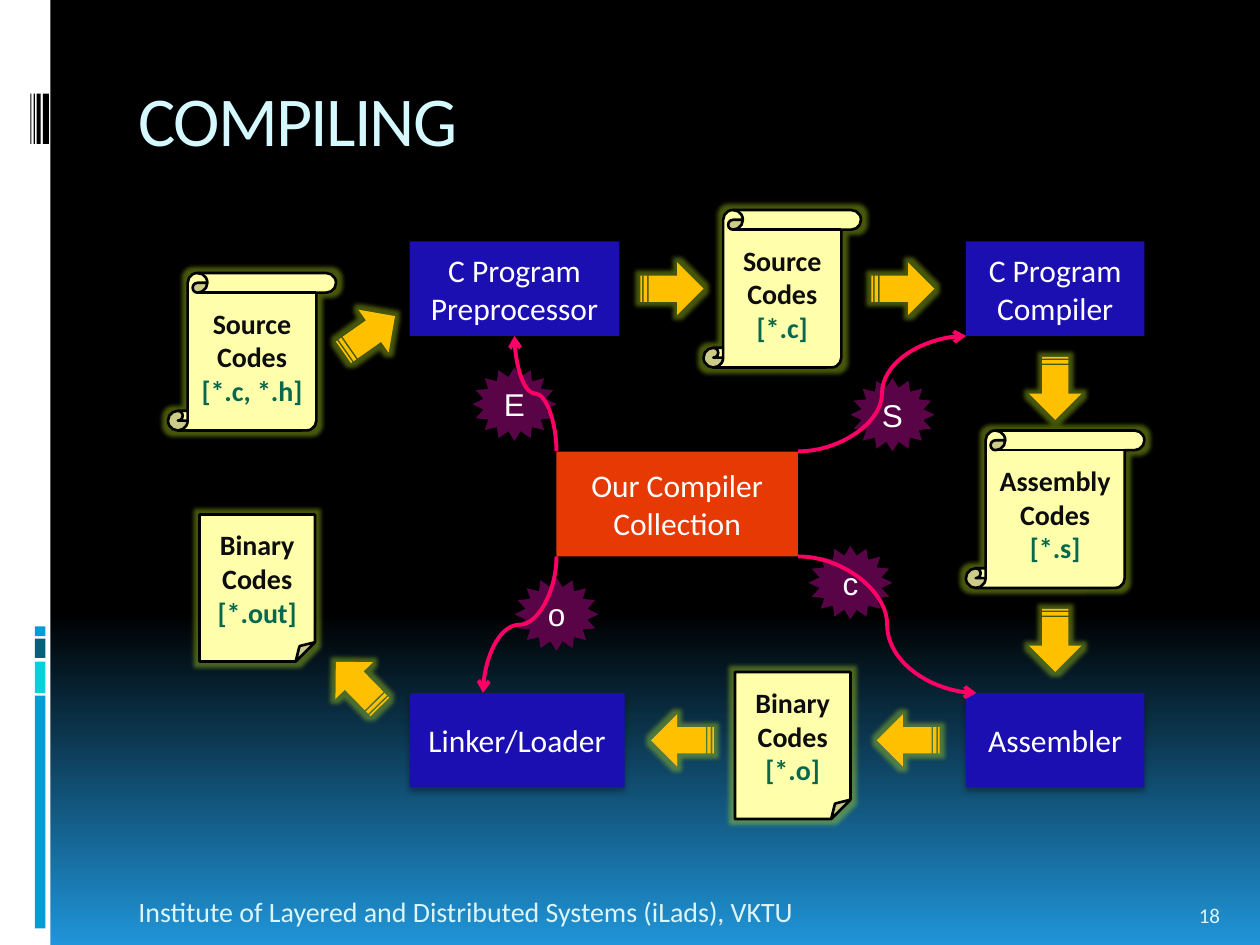
import pptx
import pptx.util
import pptx.dml.color
import pptx.enum.shapes
import pptx.enum.text
import pptx.oxml
import pptx.oxml.ns
from dataclasses import dataclass

Pt = pptx.util.Pt
Rgb = pptx.dml.color.RGBColor.from_string
Kind = pptx.enum.shapes.MSO_SHAPE
Align = pptx.enum.text.PP_ALIGN
Anchor = pptx.enum.text.MSO_ANCHOR
NS = pptx.oxml.ns.nsdecls("a")


@dataclass
class Theme:
    font: str = "Calibri"
    mark: str = "Arial"
    black: str = "000000"
    white: str = "FFFFFF"
    sky: str = "2095D9"
    blue: str = "009DD9"
    aqua: str = "0BD0D9"
    teal: str = "04617B"
    title: str = "D5F9FF"
    foot: str = "DBF5F9"
    tool: str = "1B0FB1"
    core: str = "E73903"
    paper: str = "FFFFAB"
    ink: str = "0D0D0D"
    code: str = "08684E"
    arrow: str = "FFC000"
    star: str = "580446"
    curve: str = "FF0066"
    glow: str = "B4DC1E"
    big: int = 40
    box: int = 18
    note: int = 16
    small: int = 12


look = Theme()
GLOW = (f'<a:effectLst {NS}><a:glow rad="63500"><a:srgbClr val="{look.glow}">'
        '<a:alpha val="40000"/></a:srgbClr></a:glow></a:effectLst>')
SHADE = (f'<a:effectLst {NS}><a:outerShdw blurRad="44450" dist="27940" dir="5400000">'
         f'<a:srgbClr val="{look.black}"><a:alpha val="32000"/></a:srgbClr>'
         '</a:outerShdw></a:effectLst>')


def write(shape, *runs, size=look.box, color=look.white, font=look.font,
          align=Align.CENTER, anchor=Anchor.MIDDLE, bold=False, inset=7.2):
    """Write runs into one paragraph; a run is text or (text, colour)."""
    frame = shape.text_frame
    frame.word_wrap = True
    frame.vertical_anchor = anchor
    frame.margin_left = frame.margin_right = Pt(inset)
    para = frame.paragraphs[0]
    para.alignment = align
    for item in runs:
        text, tint = item if isinstance(item, tuple) else (item, color)
        for row, line in enumerate(text.split("\n")):
            if row:
                para.add_line_break()
            if line:
                run = para.add_run()
                run.text = line
                run.font.size = Pt(size)
                run.font.name = font
                run.font.bold = bold
                run.font.color.rgb = Rgb(tint)
    return para


def draw(kind, x, y, w, h, fill, line=None, turn=0, effect=None):
    """Add a filled preset shape."""
    shape = slide.shapes.add_shape(kind, Pt(x), Pt(y), Pt(w), Pt(h))
    shape.rotation = turn
    shape.fill.solid()
    shape.fill.fore_color.rgb = Rgb(fill)
    if line:
        shape.line.color.rgb = Rgb(line)
        shape.line.width = Pt(1.5)
    else:
        shape.line.fill.background()
    if effect:
        shape._element.spPr.append(pptx.oxml.parse_xml(effect))
    else:
        shape.shadow.inherit = False
    return shape


deck = pptx.Presentation()
deck.slide_width, deck.slide_height = Pt(720), Pt(540)
slide = deck.slides.add_slide(deck.slide_layouts[5])

# Background: black, fading to blue at the foot
back = slide.background.fill
back.gradient()
back.gradient_angle = 270
for stop, place, tint in zip(back.gradient_stops, (0.65, 1), (look.black, look.sky)):
    stop.position = place
    stop.color.rgb = Rgb(tint)

# Side band with its bars
for x, y, w, h, tint in [
    (0, 0, 28.8, 540, look.white),
    (20, 397.5, 6, 133, look.blue),
    (20, 378, 6, 18, look.aqua),
    (20, 365, 6, 11, look.teal),
    (20, 358, 6, 5.5, look.blue),
    (24.5, 53.5, 3.5, 28.8, look.black),
    (21, 53.5, 2.2, 28.8, look.black),
    (19.2, 53.5, 0.8, 28.8, look.black),
    (17.4, 53.5, 0.6, 28.8, look.black),
]:
    draw(Kind.RECTANGLE, x, y, w, h, tint)

# Title
head = slide.shapes.title
head.left, head.top, head.width, head.height = Pt(72), Pt(40), Pt(612), Pt(72)
para = write(head, "COMPILING", size=look.big, color=look.title,
             align=Align.LEFT, anchor=Anchor.TOP)
para.runs[0].font._element.set("spc", "-100")

# Footer and slide number
for text, x, w, size in [
    ("Institute of Layered and Distributed Systems (iLads), VKTU", 72, 438, look.note),
    ("18", 678, 36, look.small),
]:
    area = slide.shapes.add_textbox(Pt(x), Pt(505), Pt(w), Pt(28.8))
    write(area, text, size=size, color=look.foot, align=Align.LEFT, anchor=Anchor.BOTTOM)

# Tools
for text, x, y, w, h, tint in [
    ("C Program Preprocessor", 234, 138, 120, 54, look.tool),
    ("C Program\nCompiler", 552, 138, 102, 54, look.tool),
    ("Assembler", 552, 396, 102, 54, look.tool),
    ("Linker/Loader", 234, 396, 123, 54, look.tool),
    ("Our Compiler Collection", 318, 258, 138, 60, look.core),
]:
    write(draw(Kind.RECTANGLE, x, y, w, h, tint, effect=SHADE), text)

# Files passed from tool to tool
SCROLL, FOLD = Kind.VERTICAL_SCROLL, Kind.FOLDED_CORNER
for kind, name, code, x, y, w, h in [
    (SCROLL, "Source Codes", "[*.c, *.h]", 96, 156, 96, 90),
    (SCROLL, "Source Codes", "[*.c]", 402, 120, 90, 90),
    (SCROLL, "Assembly Codes", "[*.s]", 552, 246, 102, 90),
    (FOLD, "Binary Codes", "[*.o]", 420, 384, 66, 84),
    (FOLD, "Binary Codes", "[*.out]", 114, 294, 66, 84),
]:
    file = draw(kind, x, y, w, h, look.paper, line=look.black, effect=GLOW)
    write(file, name + "\n", (code, look.code), size=look.note, color=look.ink, bold=True)

# Block arrows along the flow
for x, y, turn in [
    (193, 176, 324.9), (366, 150, 0), (498, 150, 0), (585, 207, 90),
    (585, 351, 90), (501, 408, 180), (372, 408, 180), (186.5, 376, 225.6),
]:
    draw(Kind.STRIPED_RIGHT_ARROW, x, y, 36, 30, look.arrow, turn=turn, effect=GLOW)

# Option stars
for text, x, y in [("E", 270, 210), ("c", 462, 312), ("o", 294, 330), ("S", 486, 216)]:
    star = draw(Kind.STAR_16_POINT, x, y, 48, 42, look.star)
    write(star, text, font=look.mark, inset=0)

# Curves from the collection to each tool; a turned one is laid flat, then rotated
for x1, y1, x2, y2, turn in [
    (456, 258, 552, 192, 0),
    (318, 258, 294, 192, 270),
    (318, 318, 276, 396, 90),
    (456, 318, 558, 396, 0),
]:
    mx, my = (x1 + x2) / 2, (y1 + y2) / 2
    dx, dy = (x2 - x1) / 2, (y2 - y1) / 2
    if turn:
        side = 1 if turn == 90 else -1
        dx, dy = side * dy, -side * dx
    curve = slide.shapes.add_connector(
        pptx.enum.shapes.MSO_CONNECTOR.CURVE,
        Pt(mx - dx), Pt(my - dy), Pt(mx + dx), Pt(my + dy))
    curve.line.color.rgb = Rgb(look.curve)
    curve.line.width = Pt(2.25)
    props = curve._element.spPr
    if turn:
        props.find(pptx.oxml.ns.qn("a:xfrm")).set("rot", str(turn * 60000))
    curve.line._get_or_add_ln().append(
        pptx.oxml.parse_xml(f'<a:tailEnd {NS} type="arrow"/>'))
    props.append(pptx.oxml.parse_xml(f"<a:effectLst {NS}/>"))

deck.save("out.pptx")
